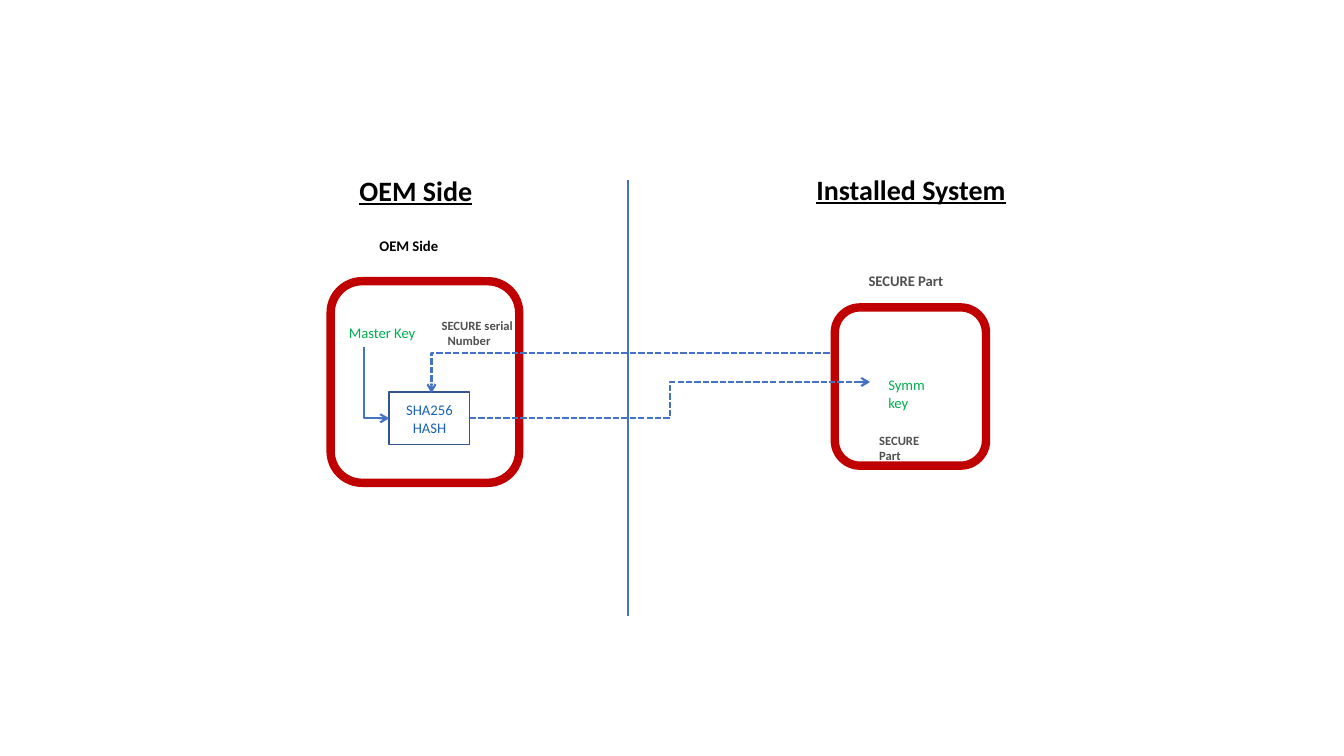
from pptx import Presentation
from pptx.dml.color import RGBColor
from pptx.enum import dml, shapes, text
from pptx.oxml import ns
from pptx.util import Inches, Pt
from lxml import etree

COLORS = {"black": "000000", "gray": "505050", "green": "00B050", "red": "C00000",
          "blue": "4472C4", "navy": "325491", "hash": "1A63B3"}

prs = Presentation()
prs.slide_width, prs.slide_height = Inches(13.33), Inches(7.5)
s = prs.slides.add_slide(prs.slide_layouts[6])


def style_text(tf, size, color, bold=False, underline=False, align=None, inset=True):
    tf.word_wrap = True
    if not inset:
        tf.margin_left = tf.margin_right = tf.margin_top = tf.margin_bottom = 0
    for p in tf.paragraphs:
        p.alignment = align
        for r in p.runs:
            r.font.name, r.font.size = "Calibri", Pt(size)
            r.font.bold, r.font.underline = bold, underline
            r.font.color.rgb = RGBColor.from_string(COLORS[color])


def style_line(sp, color, width):
    sp.line.color.rgb = RGBColor.from_string(COLORS[color])
    sp.line.width = Pt(width)


# Device frames and hash box
boxes = {}
for name, kind, box, color, width in [
    ("oem", "ROUNDED_RECTANGLE", (3.28, 2.79, 1.87, 2), "red", 6),
    ("part", "ROUNDED_RECTANGLE", (8.28, 3.05, 1.5, 1.57), "red", 6),
    ("hash", "RECTANGLE", (3.86, 3.89, 0.8, 0.52), "navy", 1),
]:
    sp = s.shapes.add_shape(shapes.MSO_SHAPE[kind], *map(Inches, box))
    sp.shadow.inherit = False
    sp.fill.background()
    style_line(sp, color, width)
    boxes[name] = sp

tf = boxes["hash"].text_frame
tf.text = "SHA256\nHASH"
tf.vertical_anchor = text.MSO_ANCHOR.MIDDLE
style_text(tf, 10.5, "hash", align=text.PP_ALIGN.CENTER, inset=False)

# Headings and centred captions
for words, box, size, color, underline in [
    ("OEM Side", (2.75, 1.67, 2.75, 0.44), 20, "black", True),
    ("Installed System", (7.66, 1.66, 2.75, 0.44), 20, "black", True),
    ("OEM Side", (3.41, 2.3, 1.29, 0.28), 10.5, "black", False),
    ("SECURE Part", (8.28, 2.65, 1.41, 0.28), 10.5, "gray", False),
]:
    tf = s.shapes.add_textbox(*map(Inches, box)).text_frame
    tf.text = words
    style_text(tf, size, color, True, underline, text.PP_ALIGN.CENTER)

# Labels inside the frames
for words, box, size, color, bold, hang in [
    ("Master Key", (3.46, 3.21, 0.79, 0.17), 10.5, "green", False, 0),
    ("Symm key", (8.81, 3.73, 0.52, 0.35), 10.5, "green", False, 0),
    ("SECURE Part", (8.72, 4.29, 0.63, 0.15), 9, "gray", True, 0),
    ("SECURE serial Number", (4.38, 3.15, 0.8, 0.3), 9, "gray", True, 0.06),
]:
    tf = s.shapes.add_textbox(*map(Inches, box)).text_frame
    tf.text = words
    style_text(tf, size, color, bold, inset=False)
    if hang:
        pPr = tf.paragraphs[0]._p.get_or_add_pPr()
        pPr.set("marL", str(Inches(hang)))
        pPr.set("indent", str(-Inches(hang)))

# Divider and key flow; bend is the elbow position along the width
for kind, ends, bend, dashed in [
    ("STRAIGHT", (6.23, 1.79, 6.23, 6.11), None, False),
    ("ELBOW", (3.61, 3.44, 3.86, 4.15), 0, False),
    ("ELBOW", (4.66, 4.15, 8.63, 3.79), 0.5, True),
    ("ELBOW", (8.23, 3.5, 4.28, 3.9), 1, True),
]:
    sp = s.shapes.add_connector(shapes.MSO_CONNECTOR[kind], *map(Inches, ends))
    style_line(sp, "blue", 1.5)
    spPr = sp._element.spPr
    if dashed:
        sp.line.dash_style = dml.MSO_LINE.SQUARE_DOT
    if bend is not None:
        etree.SubElement(sp.line._get_or_add_ln(), ns.qn("a:tailEnd"), type="arrow")
        guides = spPr.find(".//" + ns.qn("a:avLst"))
        etree.SubElement(guides, ns.qn("a:gd"), name="adj1", fmla=f"val {int(bend * 100000)}")
    etree.SubElement(spPr, ns.qn("a:effectLst"))

prs.save("out.pptx")
